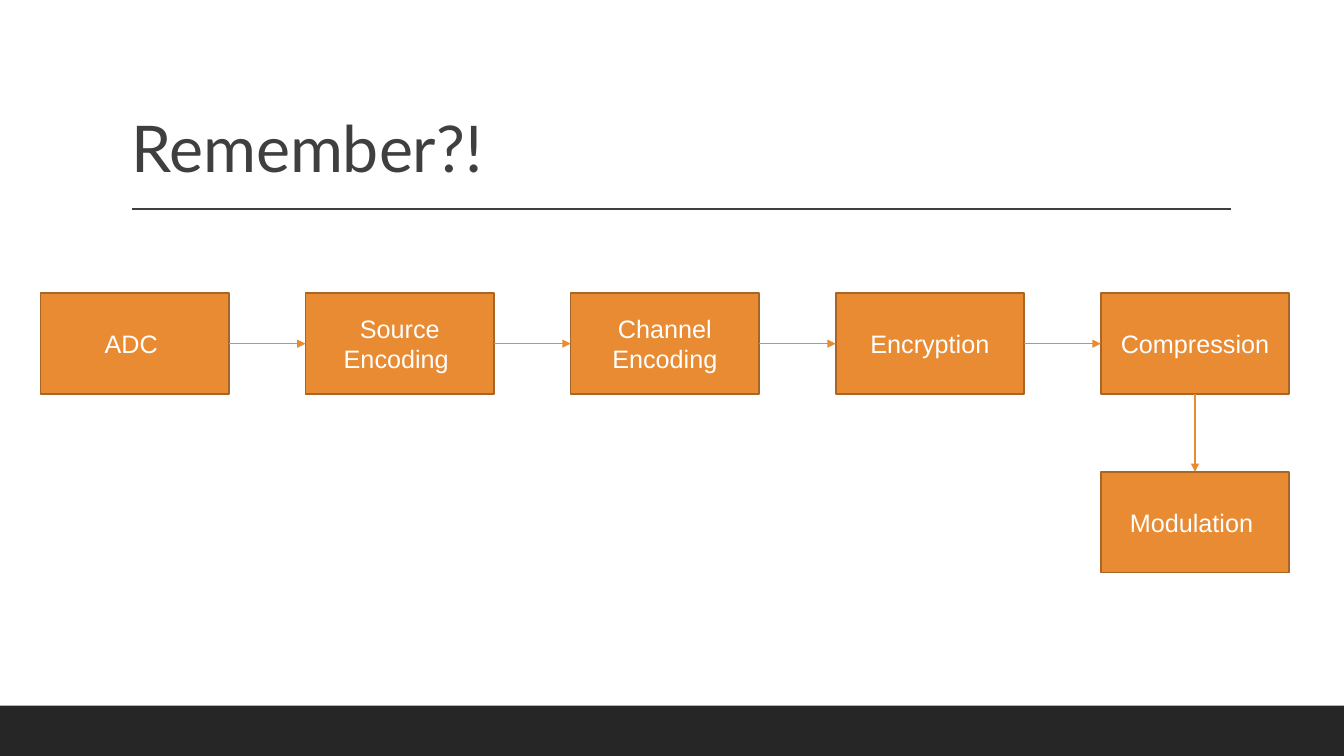
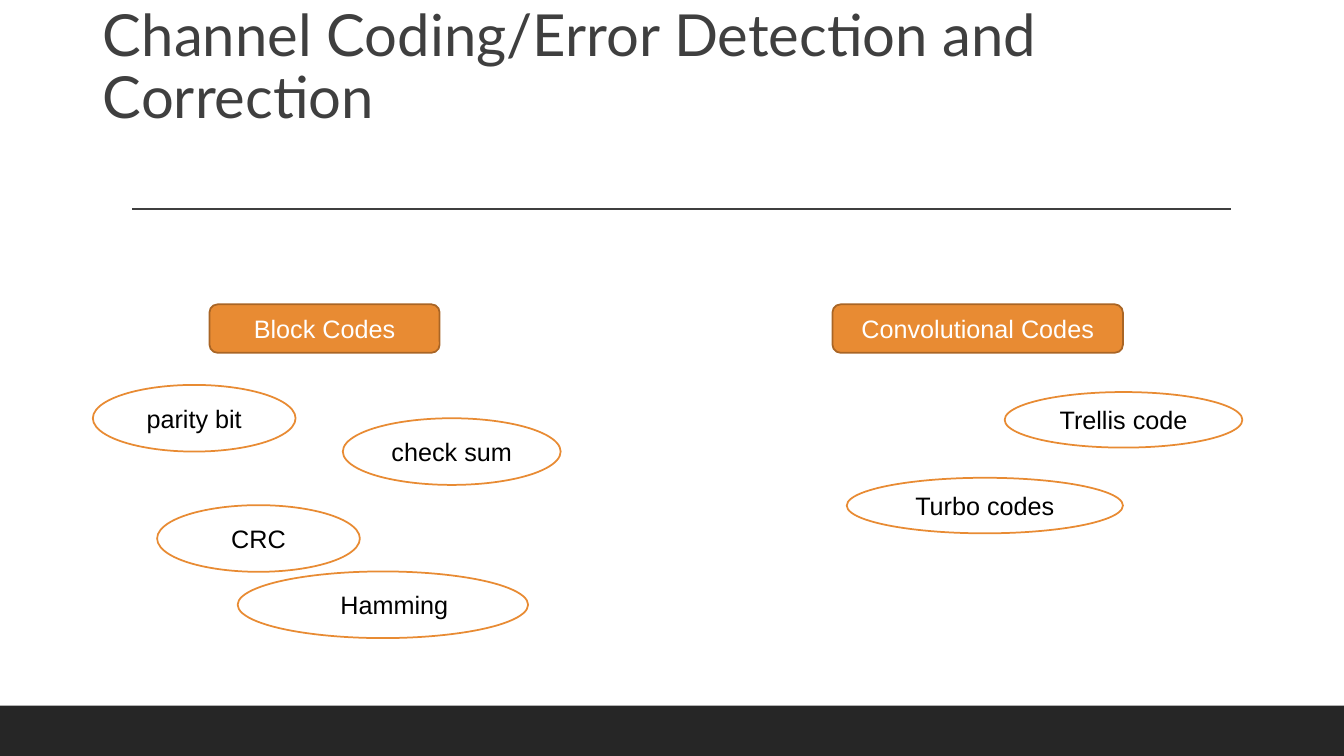
from dataclasses import dataclass
from itertools import pairwise

from lxml import etree
from pptx import Presentation
from pptx.dml.color import RGBColor
from pptx.enum import shapes, text
from pptx.oxml import ns
from pptx.util import Cm, Pt

ORANGE, BROWN, WHITE, BLACK = "E88B33", "A96525", "FFFFFF", "000000"
INK, BAND = "3F3F3F", "262626"
SLIDE_WIDTH, SLIDE_HEIGHT, BAND_HEIGHT = 33.87, 19.05, 1.27
RECT = shapes.MSO_SHAPE.RECTANGLE
ROUNDED = shapes.MSO_SHAPE.ROUNDED_RECTANGLE
OVAL = shapes.MSO_SHAPE.OVAL
TOP, LEFT, BOTTOM, RIGHT = range(4)


@dataclass(frozen=True)
class Node:
    """A labelled shape, measured in centimetres."""

    label: str
    left: float
    top: float
    width: float
    height: float
    kind: shapes.MSO_SHAPE = RECT
    fill: str = ORANGE
    border: str = BROWN
    ink: str = WHITE
    indent: float = 0


def rgb(value: str) -> RGBColor:
    """Turn a hex string into a colour."""
    return RGBColor.from_string(value)


def style_runs(paragraph, font: str, size: float, colour: str) -> None:
    """Give every run of a paragraph one font, size and colour."""
    for run in paragraph.runs:
        run.font.name = font
        run.font.size = Pt(size)
        run.font.color.rgb = rgb(colour)


def add_line(slide, start_x: float, start_y: float, end_x: float, end_y: float, colour: str):
    """Draw a thin straight line without a shadow."""
    line = slide.shapes.add_connector(
        shapes.MSO_CONNECTOR.STRAIGHT, Cm(start_x), Cm(start_y), Cm(end_x), Cm(end_y)
    )
    line.line.color.rgb = rgb(colour)
    line.line.width = Pt(1)
    etree.SubElement(line._element.spPr, ns.qn("a:effectLst"))
    return line


def add_arrow(slide, source, source_side: int, target, target_side: int) -> None:
    """Join two shapes with an arrow."""
    arrow = add_line(slide, 0, 0, 1, 1, ORANGE)
    arrow.begin_connect(source, source_side)
    arrow.end_connect(target, target_side)
    etree.SubElement(arrow.line._get_or_add_ln(), ns.qn("a:tailEnd"), type="triangle")


def add_node(slide, node: Node):
    """Draw a node with its label."""
    shape = slide.shapes.add_shape(
        node.kind, Cm(node.left), Cm(node.top), Cm(node.width), Cm(node.height)
    )
    shape.shadow.inherit = False
    shape.fill.solid()
    shape.fill.fore_color.rgb = rgb(node.fill)
    shape.line.color.rgb = rgb(node.border)
    shape.line.width = Pt(1.25)
    frame = shape.text_frame
    frame.word_wrap = True
    frame.vertical_anchor = text.MSO_ANCHOR.MIDDLE
    frame.text = node.label
    paragraph = frame.paragraphs[0]
    paragraph.alignment = text.PP_ALIGN.CENTER
    if node.indent:
        paragraph.alignment = text.PP_ALIGN.LEFT
        paragraph._p.get_or_add_pPr().set("marL", str(Cm(node.indent)))
    style_runs(paragraph, "Arial", 18, node.ink)
    return shape


def oval(label: str, left: float, top: float, width: float, height: float, indent: float = 0) -> Node:
    """Describe an outlined example of a code."""
    return Node(label, left, top, width, height, OVAL, WHITE, ORANGE, BLACK, indent)


def add_titled_slide(deck, title: str, left: float, top: float, size: float, bottom_inset: float = 0.13):
    """Add a slide with the shared band, rule and title style."""
    slide = deck.slides.add_slide(deck.slide_layouts[5])
    band = slide.shapes.add_shape(
        RECT, 0, Cm(SLIDE_HEIGHT - BAND_HEIGHT), Cm(SLIDE_WIDTH), Cm(BAND_HEIGHT)
    )
    band.shadow.inherit = False
    band.fill.solid()
    band.fill.fore_color.rgb = rgb(BAND)
    band.line.fill.background()
    add_line(slide, 3.33, 5.27, 31.01, 5.27, INK)

    heading = slide.shapes.title
    heading.left, heading.top = Cm(left), Cm(top)
    heading.width, heading.height = Cm(27.94), Cm(4.04)
    frame = heading.text_frame
    frame.text = title
    frame.word_wrap = True
    frame.auto_size = text.MSO_AUTO_SIZE.NONE
    frame.vertical_anchor = text.MSO_ANCHOR.BOTTOM
    frame.margin_bottom = Cm(bottom_inset)
    paragraph = frame.paragraphs[0]
    paragraph.alignment = text.PP_ALIGN.LEFT
    paragraph.line_spacing = 0.9
    style_runs(paragraph, "Lato", size, INK)
    return slide


def build_chain(deck) -> None:
    """Build the slide with the transmission chain."""
    slide = add_titled_slide(deck, "Remember?!", 3.05, 0.79, 46)
    first_left, row_top, pitch, width, height = 1.02, 7.39, 6.68, 4.75, 2.54
    labels = ("ADC ", "Source Encoding ", "Channel Encoding", "Encryption", "Compression")
    stages = [
        add_node(slide, Node(label, first_left + column * pitch, row_top, width, height))
        for column, label in enumerate(labels)
    ]
    last_left = first_left + (len(labels) - 1) * pitch
    modulation = add_node(slide, Node("Modulation ", last_left, 11.89, width, height))
    for source, target in pairwise(stages):
        add_arrow(slide, source, RIGHT, target, LEFT)
    add_arrow(slide, stages[-1], BOTTOM, modulation, TOP)


def build_codes(deck) -> None:
    """Build the slide with the two families of channel codes."""
    slide = add_titled_slide(
        deck, "Channel Coding/Error Detection and Correction", 2.34, 0.97, 41.4, 1.7
    )
    block_height, convolutional_height = 1.68, 1.4
    for node in (
        Node("Block Codes", 5.28, 7.67, 5.8, 1.22, ROUNDED),
        Node("Convolutional Codes", 20.98, 7.67, 7.32, 1.22, ROUNDED),
        oval("Hamming", 5.99, 14.4, 7.32, block_height, 1.27),
        oval("check sum", 8.64, 10.54, 5.49, block_height),
        oval("parity bit", 2.34, 9.7, 5.11, block_height),
        oval("Trellis code", 25.32, 9.88, 5.99, convolutional_height),
        oval("CRC", 3.96, 12.73, 5.11, block_height),
        oval("Turbo codes", 21.34, 12.04, 6.96, convolutional_height),
    ):
        add_node(slide, node)


def main() -> None:
    """Build and save the presentation."""
    deck = Presentation()
    deck.slide_width, deck.slide_height = Cm(SLIDE_WIDTH), Cm(SLIDE_HEIGHT)
    build_chain(deck)
    build_codes(deck)
    deck.save("out.pptx")


if __name__ == "__main__":
    main()
